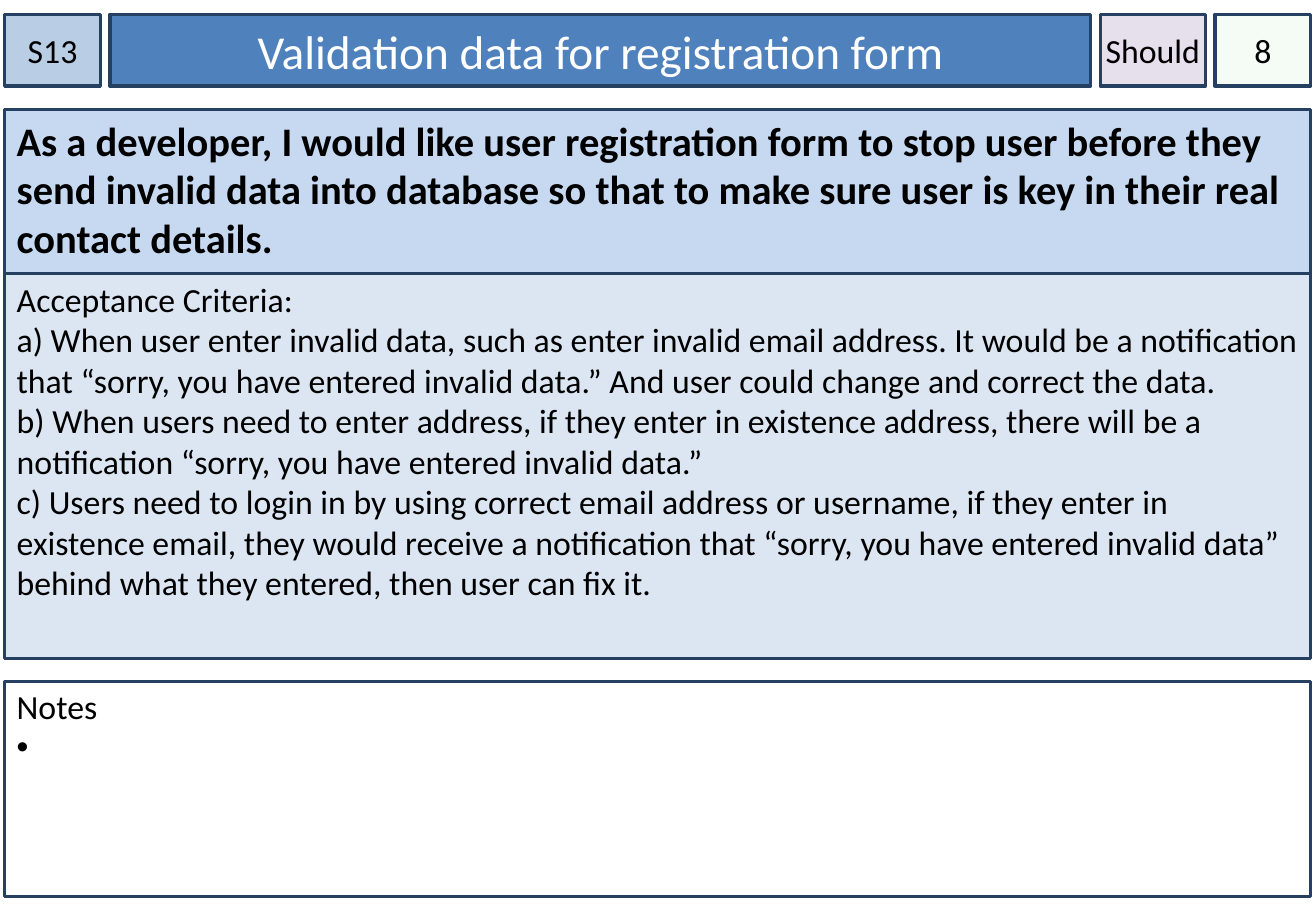
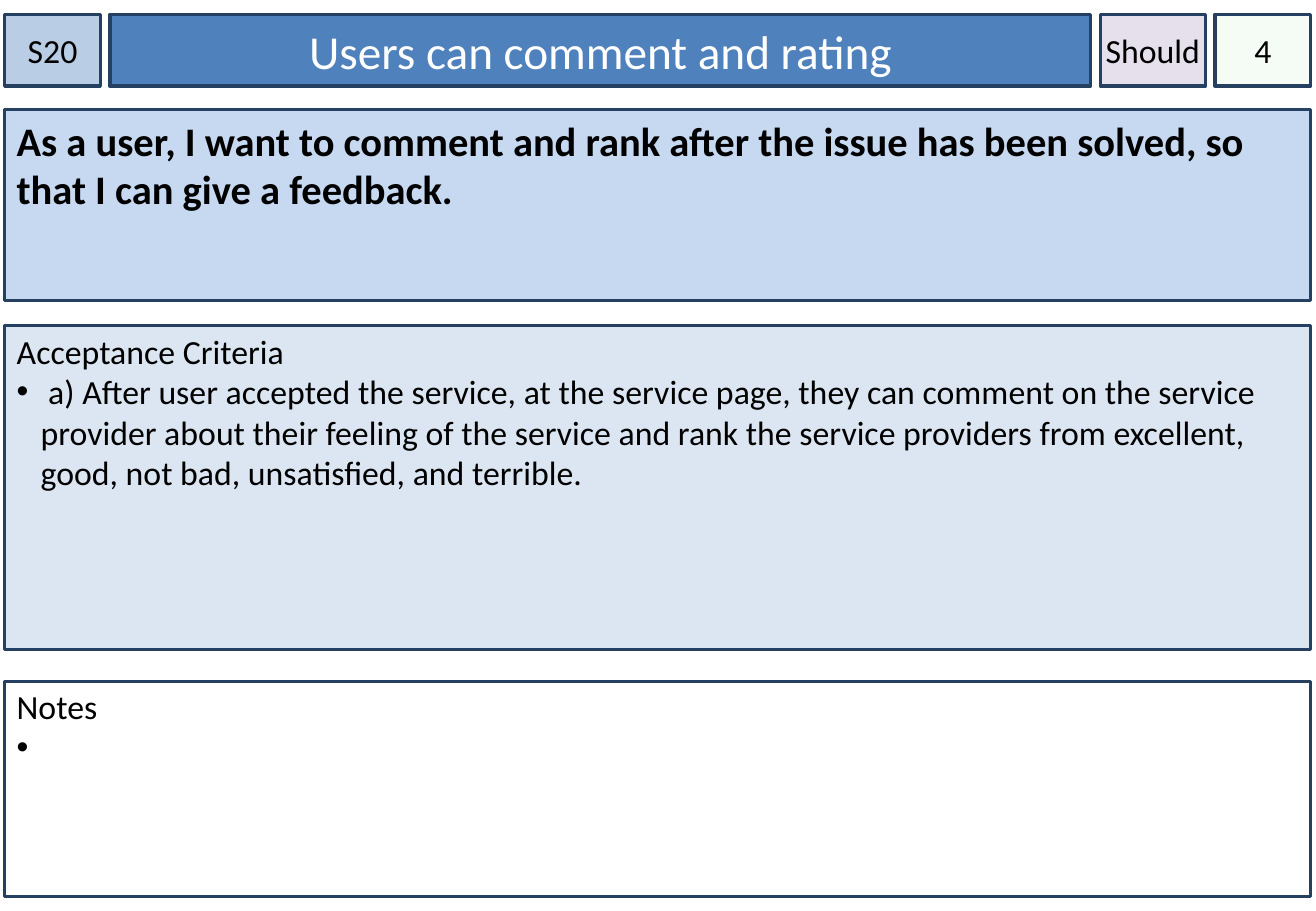
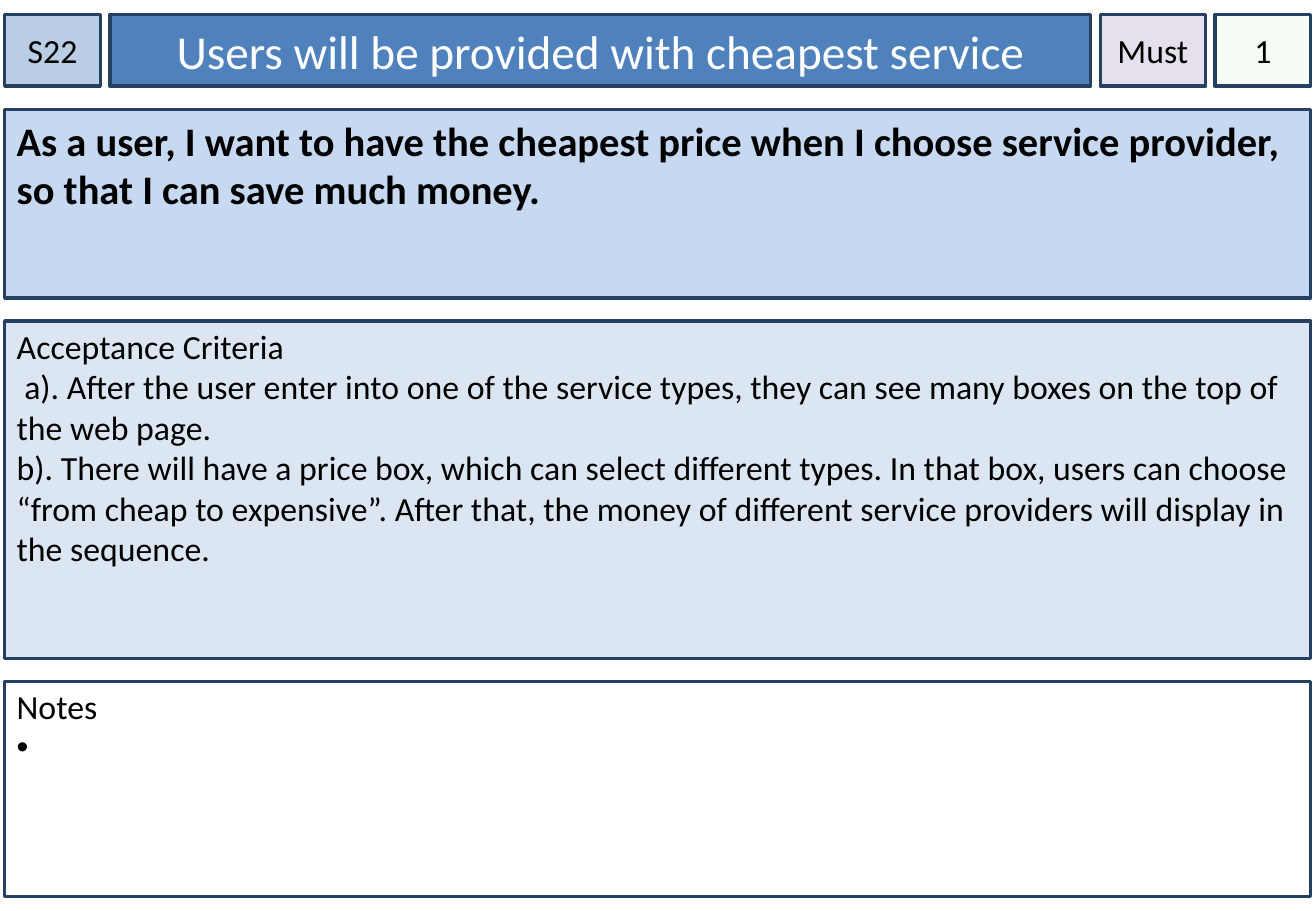
from lxml import etree
from pptx import Presentation
from pptx.dml.color import RGBColor
from pptx.enum import shapes, text as txt
from pptx.oxml.ns import qn
from pptx.util import Cm, Pt

LEFT, TOP, GAP = 0.1, 0.3, 0.2
HEADER_HEIGHT = 1.5
STORY_TOP, NOTES_TOP, NOTES_HEIGHT = 2.29, 14.25, 4.5
PANEL_WIDTH = 27.3
BULLET = "• "

STORIES = [
    dict(
        code="S13", title="Validation data for registration form",
        priority="Should", points="8",
        story="As a developer, I would like user registration form to stop user before they "
              "send invalid data into database so that to make sure user is key in their real "
              "contact details.",
        story_height=3.43, criteria_top=5.72, criteria_height=8.05,
        criteria=[
            "Acceptance Criteria:\n"
            "a) When user enter invalid data, such as enter invalid email address. It would be "
            "a notification that “sorry, you have entered invalid data.” And user could change "
            "and correct the data.\n"
            "b) When users need to enter address, if they enter in existence address, there "
            "will be a notification “sorry, you have entered invalid data.”\n"
            "c) Users need to login in by using correct email address or username, if they "
            "enter in existence email, they would receive a notification that “sorry, you have "
            "entered invalid data” behind what they entered, then user can fix it.",
        ],
    ),
    dict(
        code="S20", title="Users can comment and rating",
        priority="Should", points="4",
        story="As a user, I want to comment and rank after the issue has been solved, so "
              "that I can give a feedback.",
        story_height=3.99, criteria_top=6.81, criteria_height=6.78,
        criteria=[
            "Acceptance Criteria",
            BULLET + " a) After user accepted the service, at the service page, they can "
            "comment on the service provider about their feeling of the service and rank the "
            "service providers from excellent, good, not bad, unsatisfied, and terrible.",
        ],
    ),
    dict(
        code="S22", title="Users will be provided with cheapest service",
        priority="Must", points="1",
        story="As a user, I want to have the cheapest price when I choose service provider, "
              "so that I can save much money.",
        story_height=3.94, criteria_top=6.71, criteria_height=7.06,
        criteria=[
            "Acceptance Criteria",
            " a). After the user enter into one of the service types, they can see many boxes "
            "on the top of the web page.",
            "b). There will have a price box, which can select different types. In that box, "
            "users can choose “from cheap to expensive”. After that, the money of different "
            "service providers will display in the sequence.",
        ],
    ),
]


def rgb(code):
    return RGBColor.from_string(code)


def add_bullet(paragraph):
    props = paragraph._p.get_or_add_pPr()
    props.set("marL", str(Cm(0.5)))
    props.set("indent", str(-Cm(0.5)))
    etree.SubElement(props, qn("a:buFont")).set("typeface", "Arial")
    etree.SubElement(props, qn("a:buChar")).set("char", BULLET.strip())


def write(paragraph, content, size=20, color="000000", bold=False,
          align=txt.PP_ALIGN.LEFT):
    """Fill a paragraph; a leading bullet mark becomes a real bullet."""
    if content.startswith(BULLET):
        add_bullet(paragraph)
        content = content[len(BULLET):]
    paragraph.text = content
    paragraph.alignment = align
    for run in paragraph.runs:
        run.font.name = "Calibri"
        run.font.size = Pt(size)
        run.font.bold = bold
        run.font.color.rgb = rgb(color)


class StoryDeck:
    OUTLINE = "254061"

    def __init__(self):
        self.deck = Presentation()
        self.deck.slide_width, self.deck.slide_height = Cm(27.51), Cm(19.05)
        self.slide = None

    def new_slide(self):
        self.slide = self.deck.slides.add_slide(self.deck.slide_layouts[6])

    def box(self, left, top, width, height, fill, opacity=100):
        shape = self.slide.shapes.add_shape(
            shapes.MSO_SHAPE.RECTANGLE, Cm(left), Cm(top), Cm(width), Cm(height))
        shape.shadow.inherit = False
        shape.fill.solid()
        shape.fill.fore_color.rgb = rgb(fill)
        if opacity < 100:
            color = shape._element.spPr.find(qn("a:solidFill"))[0]
            etree.SubElement(color, qn("a:alpha")).set("val", str(opacity * 1000))
        shape.line.color.rgb = rgb(self.OUTLINE)
        shape.line.width = Pt(2)
        return shape.text_frame

    def header_cell(self, left, width, content, fill, opacity=100, margin=0.0,
                    wrap=True, **style):
        frame = self.box(left, TOP, width, HEADER_HEIGHT, fill, opacity)
        frame.vertical_anchor = txt.MSO_ANCHOR.MIDDLE
        frame.margin_left = frame.margin_right = Cm(margin)
        frame.word_wrap = wrap
        write(frame.paragraphs[0], content, align=txt.PP_ALIGN.CENTER, **style)

    def header(self, code, title, priority, points):
        cells = [
            (2, code, dict(fill="B9CDE5")),
            (20.5, title, dict(fill="4F81BD", margin=0.25, size=28, color="FFFFFF")),
            (2.2, priority, dict(fill="E6E0EC", wrap=False)),
            (2, points, dict(fill="CCF0CD", opacity=20)),
        ]
        left = LEFT
        for width, content, look in cells:
            self.header_cell(left, width, content, **look)
            left += width + GAP

    def panel(self, top, height, lines, fill, margin_top=0.1, **style):
        frame = self.box(LEFT, top, PANEL_WIDTH, height, fill)
        frame.vertical_anchor = txt.MSO_ANCHOR.TOP
        frame.margin_top = Cm(margin_top)
        frame.word_wrap = True
        for index, line in enumerate(lines):
            paragraph = frame.add_paragraph() if index else frame.paragraphs[0]
            write(paragraph, line, **style)

    def story_card(self, code, title, priority, points, story, story_height,
                   criteria_top, criteria_height, criteria):
        self.new_slide()
        self.header(code, title, priority, points)
        self.panel(STORY_TOP, story_height, [story], "C6D9F1",
                   margin_top=0.13, size=24, bold=True)
        self.panel(criteria_top, criteria_height, criteria, "DCE6F2")
        self.panel(NOTES_TOP, NOTES_HEIGHT, ["Notes", BULLET + " "], "FFFFFF")


def main():
    cards = StoryDeck()
    for story in STORIES:
        cards.story_card(**story)
    cards.deck.save("out.pptx")


if __name__ == "__main__":
    main()
